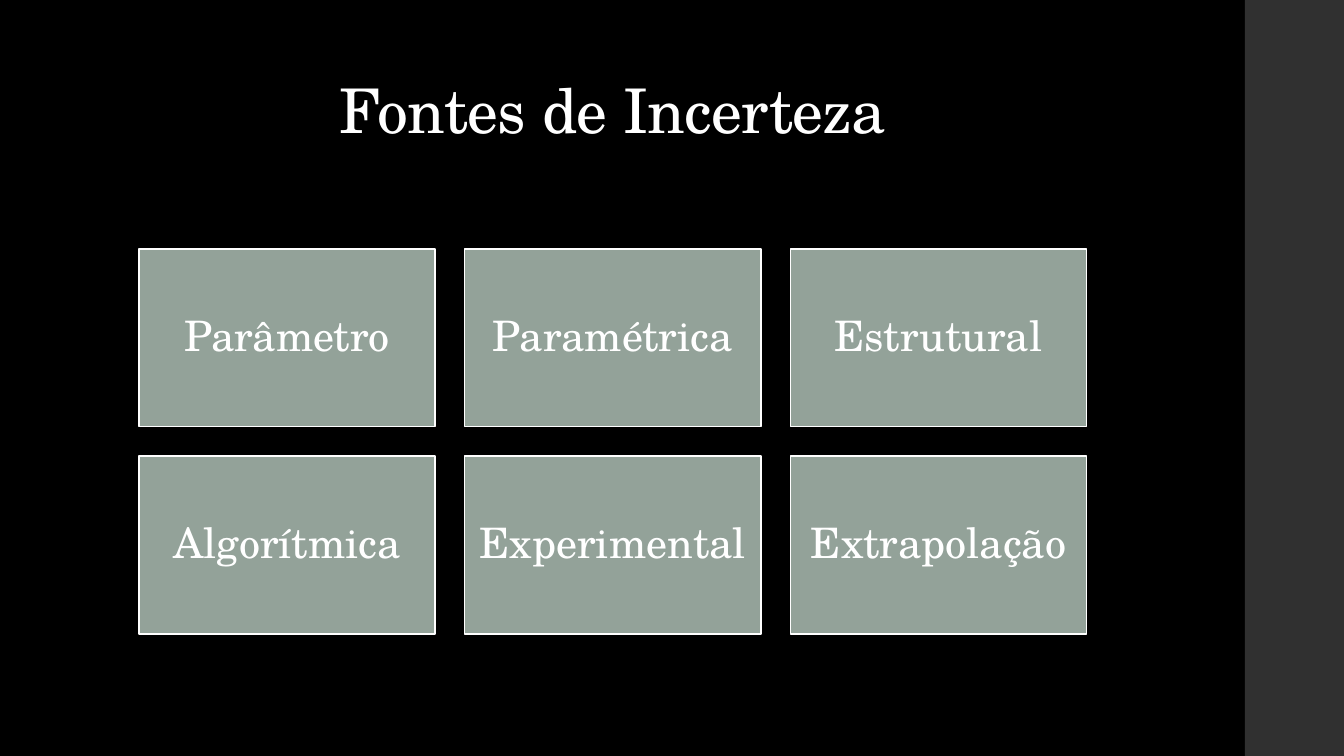
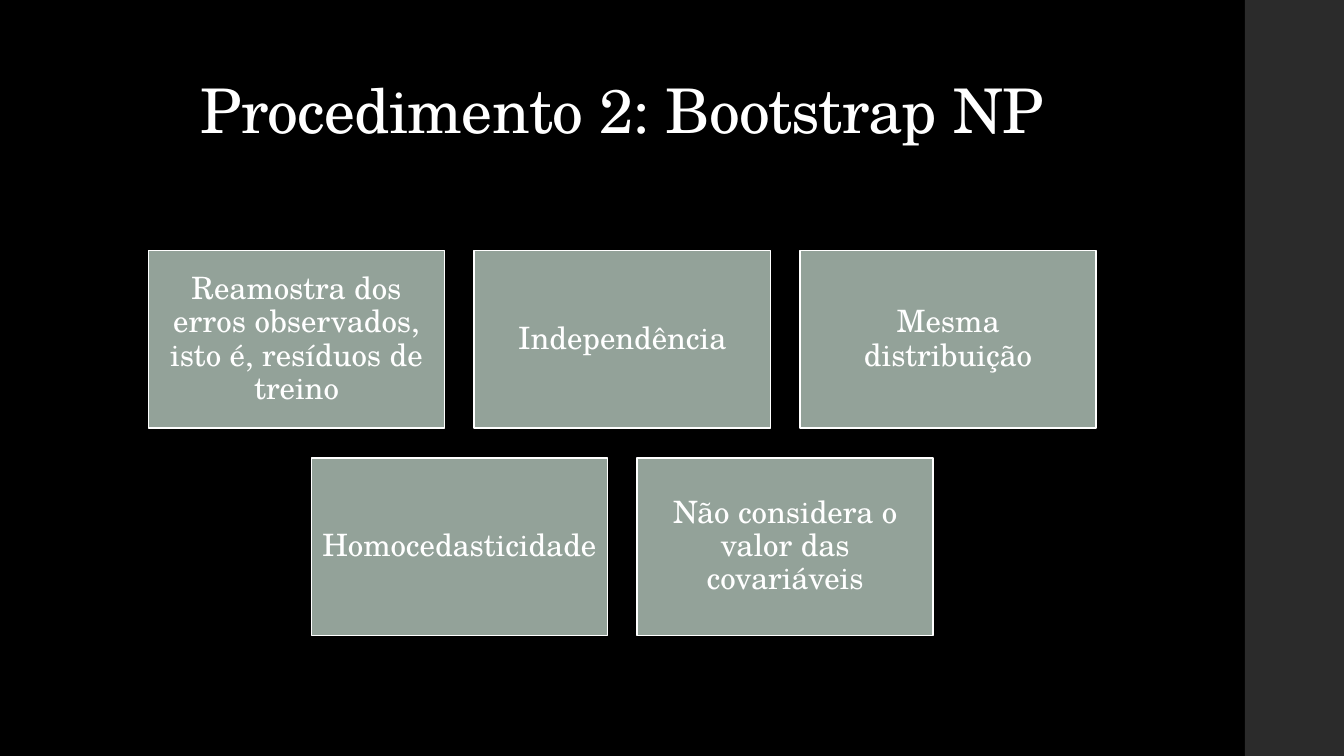
from dataclasses import dataclass
from typing import NamedTuple

from lxml.etree import SubElement
from pptx import Presentation
from pptx.dml.color import RGBColor
from pptx.enum.shapes import MSO_SHAPE as Shape
from pptx.enum.text import MSO_ANCHOR as Anchor, PP_ALIGN as Align
from pptx.oxml.ns import qn
from pptx.util import Pt


class Box(NamedTuple):
    """A rectangle in points."""
    left: float
    top: float
    width: float
    height: float

    def lengths(self):
        return [Pt(value) for value in self]


@dataclass(frozen=True)
class Theme:
    background: RGBColor = RGBColor(0x00, 0x00, 0x00)
    band: RGBColor = RGBColor(0x30, 0x30, 0x30)
    tile: RGBColor = RGBColor(0x93, 0xA2, 0x99)
    text: RGBColor = RGBColor(0xFF, 0xFF, 0xFF)
    font: str = "TeX Gyre Schola"
    title_size: float = 44
    title_tracking: float = -0.5
    large_size: float = 30
    small_size: float = 22
    line_spacing: float = 0.9
    outline: float = 1.1


THEME = Theme()
PAGE = Box(0, 0, 960, 540)
BAND = Box(889.2, 0, 72, 540)
COLUMNS = 3
GAP_RATIO = 0.1
TILE_RATIO = 0.6


def write_text(frame, text, size):
    frame.text = text
    frame.word_wrap = True
    frame.vertical_anchor = Anchor.MIDDLE
    para = frame.paragraphs[0]
    para.alignment = Align.CENTER
    para.line_spacing = THEME.line_spacing
    span = para.runs[0]
    span.font.name = THEME.font
    span.font.size = Pt(size)
    span.font.color.rgb = THEME.text
    return span


def add_rectangle(slide, box, color):
    rectangle = slide.shapes.add_shape(Shape.RECTANGLE, *box.lengths())
    rectangle.shadow.inherit = False
    rectangle.fill.solid()
    rectangle.fill.fore_color.rgb = color
    rectangle.line.fill.background()
    return rectangle


def add_band(slide, box, opacity):
    """Draw the side band; opacity is a percentage."""
    band = add_rectangle(slide, box, THEME.band)
    if opacity < 100:
        color = next(band.fill._xPr.iter(qn("a:srgbClr")))
        SubElement(color, qn("a:alpha")).set("val", str(opacity * 1000))


def place_title(slide, box, text):
    title = slide.shapes.title
    title.left, title.top, title.width, title.height = box.lengths()
    span = write_text(title.text_frame, text, THEME.title_size)
    span.font._element.set("spc", str(int(THEME.title_tracking * 100)))


def add_tile(slide, box, text, size, inset):
    tile = add_rectangle(slide, box, THEME.tile)
    tile.line.color.rgb = THEME.text
    tile.line.width = Pt(THEME.outline)
    frame = tile.text_frame
    frame.margin_left = frame.margin_right = Pt(inset)
    frame.margin_top = frame.margin_bottom = Pt(inset)
    write_text(frame, text, size)


def add_tile_grid(slide, left, top, width, labels, size, inset):
    """Fill rows of equal tiles, centring a row that is not full."""
    tile_width = width / (COLUMNS + (COLUMNS - 1) * GAP_RATIO)
    tile_height = tile_width * TILE_RATIO
    gap = tile_width * GAP_RATIO
    for index, label in enumerate(labels):
        row, column = divmod(index, COLUMNS)
        in_row = min(COLUMNS, len(labels) - row * COLUMNS)
        indent = (COLUMNS - in_row) * (tile_width + gap) / 2
        box = Box(left + indent + column * (tile_width + gap),
                  top + row * (tile_height + gap), tile_width, tile_height)
        add_tile(slide, box, label, size, inset)


def add_tile_slide(deck, title, title_box, band_opacity, **grid):
    slide = deck.slides.add_slide(deck.slide_layouts[5])
    add_band(slide, BAND, band_opacity)
    place_title(slide, title_box, title)
    add_tile_grid(slide, **grid)


def main():
    deck = Presentation()
    deck.slide_width, deck.slide_height = Pt(PAGE.width), Pt(PAGE.height)
    backdrop = deck.slide_master.background.fill
    backdrop.solid()
    backdrop.fore_color.rgb = THEME.background

    add_tile_slide(
        deck, "Fontes de Incerteza", Box(99.2, 28.8, 677, 104.4), 100,
        left=99.2, top=177.8, width=677, size=THEME.large_size, inset=9,
        labels=["Parâmetro", "Paramétrica", "Estrutural",
                "Algorítmica", "Experimental", "Extrapolação"])
    add_tile_slide(
        deck, "Procedimento 2: Bootstrap NP", Box(99.2, 28.8, 690.5, 104.4), 90,
        left=106, top=179, width=677, size=THEME.small_size, inset=6.6,
        labels=["Reamostra dos erros observados, isto é, resíduos de treino",
                "Independência", "Mesma distribuição",
                "Homocedasticidade", "Não considera o valor das covariáveis"])
    deck.save("out.pptx")


if __name__ == "__main__":
    main()
